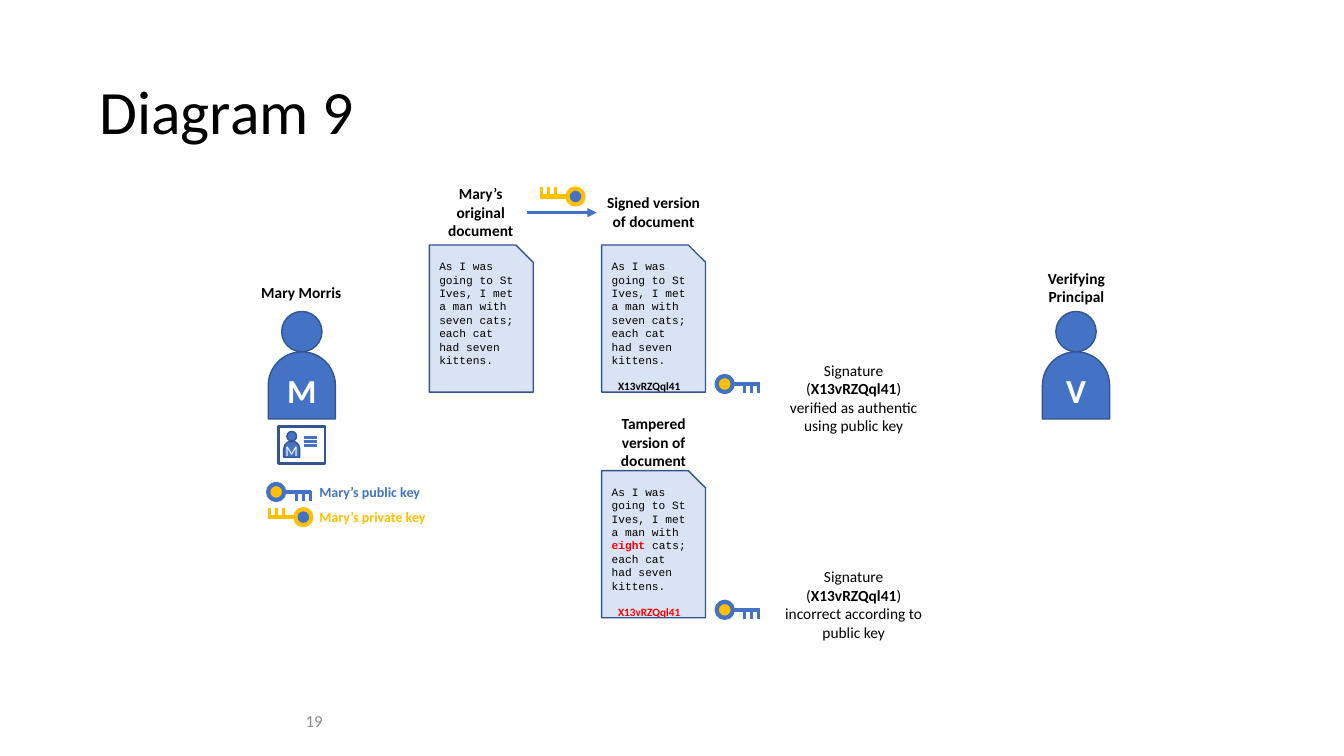
import pptx
import pptx.util
import pptx.dml.color
import pptx.enum.shapes
import pptx.enum.text
import pptx.oxml.ns
import lxml.etree

Pt = pptx.util.Pt
SHAPES = pptx.enum.shapes.MSO_SHAPE
ALIGN = pptx.enum.text.PP_ALIGN
ANCHOR = pptx.enum.text.MSO_ANCHOR

COLORS = {
    "black": "000000", "white": "FFFFFF", "gray": "8C8C8C", "red": "FF0000",
    "blue": "4472C4", "key_blue": "4372C4", "outline": "325491",
    "gold": "FFC001", "paper": "DAE3F3",
}

# A paragraph is a list of runs: (text, format changes)
SIGNATURE = "X13vRZQql41"
RHYME = [("As I was going to St Ives, I met a man with seven cats; "
          "each cat had seven kittens.", {})]
TAMPERED_RHYME = [
    ("As I was going to St Ives, I met a man with ", {}),
    ("eight", {"color": "red", "bold": True}),
    (" cats; each cat had seven kittens.", {}),
]

# left, top, rhyme, colour of the signature (None when unsigned)
DOCUMENTS = [
    (306.7, 175, RHYME, None),
    (429.8, 175, RHYME, "black"),
    (429.8, 336.2, TAMPERED_RHYME, "red"),
]
# text, left, top, width, height
HEADINGS = [
    ("Mary Morris", 179.3, 198.7, 72, 21),
    ("Mary’s original document", 310.3, 128, 66.2, 47.5),
    ("Signed version of document", 426.2, 134.6, 81.4, 34),
    ("Tampered version of document", 422.6, 292.3, 88.6, 47.5),
    ("Verifying Principal", 739.4, 188.6, 59, 34),
]
# text, colour, top
KEY_LABELS = [("Mary’s public key", "key_blue", 342),
              ("Mary’s private key", "gold", 360)]
# verdict, top, height
VERDICTS = [("verified as authentic using public key", 254.2, 74.2),
            ("incorrect according to public key", 401.8, 60.5)]
# letter, centre
PEOPLE = [("M", 215.6), ("V", 768.6)]
# centre of the bow
PUBLIC_KEYS = [(197.3, 351.4), (517.7, 274.3), (517.7, 435.6)]
PRIVATE_KEYS = [(216.7, 369.4), (411.1, 140.4)]

prs = pptx.Presentation()
prs.slide_width, prs.slide_height = Pt(960), Pt(540)
slide = prs.slides.add_slide(prs.slide_layouts[6])


def rgb(name):
    return pptx.dml.color.RGBColor.from_string(COLORS[name])


def write(shape, paragraphs, size=11, color="black", font="Calibri", bold=False,
          align=ALIGN.CENTER, anchor=ANCHOR.TOP, inset=(7.2, 3.6), wrap=True,
          spacing=None):
    """Fill a shape with paragraphs, each a string or a list of runs."""
    frame = shape.text_frame
    frame.word_wrap = wrap
    frame.vertical_anchor = anchor
    frame.margin_left = frame.margin_right = Pt(inset[0])
    frame.margin_top = frame.margin_bottom = Pt(inset[1])
    for index, runs in enumerate(paragraphs):
        paragraph = frame.add_paragraph() if index else frame.paragraphs[0]
        paragraph.alignment = align
        paragraph.line_spacing = spacing
        for text, changes in [(runs, {})] if isinstance(runs, str) else runs:
            run = paragraph.add_run()
            run.text = text
            run.font.size = Pt(size)
            run.font.name = changes.get("font", font)
            run.font.bold = changes.get("bold", bold)
            run.font.color.rgb = rgb(changes.get("color", color))
    return frame


def add_text(left, top, width, height, paragraphs, **text_format):
    box = slide.shapes.add_textbox(Pt(left), Pt(top), Pt(width), Pt(height))
    write(box, paragraphs, **text_format)


def add_shape(parent, kind, left, top, width, height, fill, line, weight=1):
    shape = parent.shapes.add_shape(kind, Pt(left), Pt(top), Pt(width), Pt(height))
    shape.shadow.inherit = False
    shape.fill.solid()
    shape.fill.fore_color.rgb = rgb(fill)
    shape.line.color.rgb = rgb(line)
    shape.line.width = Pt(weight)
    return shape


def add_line(parent, x1, y1, x2, y2, color, weight):
    line = parent.shapes.add_connector(
        pptx.enum.shapes.MSO_CONNECTOR.STRAIGHT, Pt(x1), Pt(y1), Pt(x2), Pt(y2))
    line.line.color.rgb = rgb(color)
    line.line.width = Pt(weight)
    lxml.etree.SubElement(line._element.spPr, pptx.oxml.ns.qn("a:effectLst"))
    return line


def add_person(parent, letter, center, top, scale=1, **text_format):
    head, body = 28.8 * scale, 48 * scale
    add_shape(parent, SHAPES.OVAL, center - head / 2, top, head, head,
              "blue", "outline")
    torso = add_shape(parent, SHAPES.ROUND_2_SAME_RECTANGLE, center - body / 2,
                      top + head, body, body, "blue", "outline")
    torso.adjustments[0] = 0.5
    write(torso, [letter], color="white", anchor=ANCHOR.MIDDLE, inset=(0, 0),
          wrap=False, **text_format)


def add_key(x, y, color, bow_fill, direction):
    """Draw a key around its bow centre; direction -1 turns it by 180 degrees."""
    key = slide.shapes.add_group_shape()
    add_shape(key, SHAPES.OVAL, x - 5.75, y - 5.75, 11.5, 11.5, bow_fill, color, 3)
    add_line(key, x + direction * 5.75, y, x + direction * 25.2, y, color, 3)
    for tooth in range(3):
        tooth_x = x + direction * (14.4 + 5 * tooth)
        add_line(key, tooth_x, y - direction, tooth_x, y + direction * 6.5,
                 color, 2.25)


def add_document(left, top, rhyme, signature_color):
    page = add_shape(slide, SHAPES.SNIP_1_RECTANGLE, left, top, 74.2, 105.1,
                     "paper", "outline")
    paragraphs = [rhyme]
    if signature_color:
        paragraphs.append([(SIGNATURE, {"font": "Calibri", "bold": True,
                                        "color": signature_color})])
    frame = write(page, paragraphs, size=8, font="Courier New", align=ALIGN.LEFT,
                  inset=(7.2, 4.2))
    if signature_color:
        frame.paragraphs[1].alignment = ALIGN.CENTER
        frame.paragraphs[1].space_before = Pt(9)


add_text(64, 29.5, 828, 104.4, ["Diagram 9"], size=44, align=ALIGN.LEFT,
         anchor=ANCHOR.MIDDLE, spacing=0.9)
add_text(21.6, 500.4, 216, 28.8, ["19"], size=12, color="gray",
         align=ALIGN.RIGHT, anchor=ANCHOR.MIDDLE)

id_card = slide.shapes.add_group_shape()
add_shape(id_card, SHAPES.RECTANGLE, 198.9, 304.7, 33.3, 26.6, "white", "outline", 2)
add_person(id_card, "M", 208.4, 308.2, 0.24, size=10.5)
for row in range(3):
    row_y = 312.5 + 2.9 * row
    add_line(id_card, 216.9, row_y, 226.6, row_y, "blue", 2)

for letter, center in PEOPLE:
    add_person(slide.shapes.add_group_shape(), letter, center, 222.5,
               size=24, bold=True)
for document in DOCUMENTS:
    add_document(*document)
for heading, *place in HEADINGS:
    add_text(*place, [heading], bold=True, wrap=heading != "Mary Morris")
for label, color, top in KEY_LABELS:
    add_text(221, top, 92, 19.4, [label], size=10, color=color, bold=True,
             align=ALIGN.LEFT, wrap=False)
for verdict, top, height in VERDICTS:
    add_text(551.5, top, 116.6, height,
             ["Signature", [("(", {}), (SIGNATURE, {"bold": True}),
                            (f") {verdict}", {})]])
for x, y in PUBLIC_KEYS:
    add_key(x, y, "key_blue", "gold", 1)
for x, y in PRIVATE_KEYS:
    add_key(x, y, "gold", "key_blue", -1)

signing = add_line(slide, 376.6, 151.9, 426.2, 151.9, "key_blue", 2.25)
lxml.etree.SubElement(signing.line._get_or_add_ln(),
                      pptx.oxml.ns.qn("a:tailEnd"), type="triangle")

prs.save("out.pptx")
